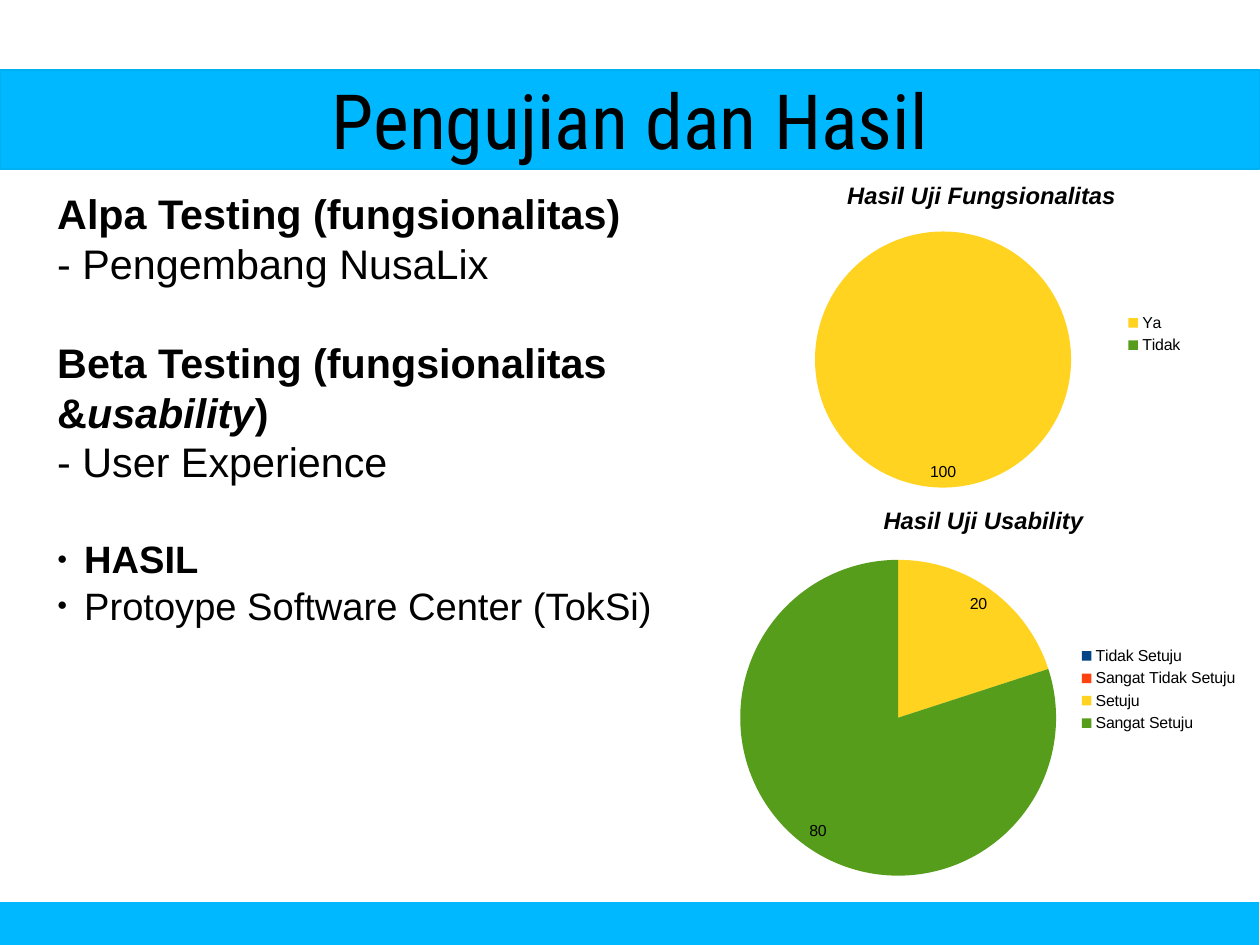
import pptx
import pptx.chart.data
import pptx.dml.color
import pptx.enum.chart
import pptx.enum.shapes
import pptx.enum.text
import pptx.oxml
import pptx.oxml.ns
import pptx.util

PX = 8000  # EMU per px
RGB = pptx.dml.color.RGBColor
BLACK = RGB(0x00, 0x00, 0x00)
WHITE = RGB(0xFF, 0xFF, 0xFF)
CYAN = RGB(0x00, 0xB8, 0xFF)
BAND_EDGE = RGB(0x00, 0xB0, 0xF0)
NAVY = RGB(0x00, 0x45, 0x86)
ORANGE = RGB(0xFF, 0x42, 0x0E)
YELLOW = RGB(0xFF, 0xD3, 0x20)
GREEN = RGB(0x57, 0x9D, 0x1C)


def place(*lengths):
    return [length * PX for length in lengths]


def write(para, text, size, font="Arial", bold=False, italic=False):
    span = para.add_run()
    span.text = text
    span.font.name = font
    span.font.size = pptx.util.Pt(size)
    span.font.bold = bold
    span.font.italic = italic
    span.font.color.rgb = BLACK


deck = pptx.Presentation()
deck.slide_width, deck.slide_height = place(1260, 945)
page = deck.slides.add_slide(deck.slide_layouts[5])

# Title
title = page.shapes.title
title.left, title.top, title.width, title.height = place(63, 38, 1134, 158)
frame = title.text_frame
frame.margin_left = frame.margin_right = frame.margin_bottom = 0
frame.margin_top = 5 * PX
frame.vertical_anchor = pptx.enum.text.MSO_ANCHOR.MIDDLE
frame.paragraphs[0].alignment = pptx.enum.text.PP_ALIGN.CENTER
write(frame.paragraphs[0], "Pengujian dan Hasil", 48, font="Roboto Condensed")

# Bands behind the title and along the bottom
for area, edge in [((0, 70, 1260, 99), BAND_EDGE), ((-4, 901, 1264, 54), WHITE)]:
    band = page.shapes.add_shape(pptx.enum.shapes.MSO_SHAPE.RECTANGLE, *place(*area))
    band.shadow.inherit = False
    band.fill.solid()
    band.fill.fore_color.rgb = CYAN
    band.line.color.rgb = edge
    band.line.width = pptx.util.Pt(0.75)
    title.element.addprevious(band.element)

# Text blocks: area, size, line height, bulleted, paragraphs of (gap before, spans)
BOLD = {"bold": True}
BOLD_ITALIC = {"bold": True, "italic": True}
blocks = [
    ((46, 183, 869, 309), 26, 31.2, False, [
        (0, [("Alpa Testing (fungsionalitas)", BOLD)]),
        (0, [("- Pengembang NusaLix", {})]),
        (31.2, [("Beta Testing (fungsionalitas", BOLD)]),
        (0, [("&", BOLD), ("usability", BOLD_ITALIC), (")", BOLD)]),
        (0, [("- User Experience", {})]),
    ]),
    ((46, 529, 720, 103), 24, 29.3, True, [
        (0, [("HASIL", BOLD)]),
        (0, [("Protoype Software Center (TokSi)", {})]),
    ]),
]
bullet_parts = [
    '<a:buClr {}><a:srgbClr val="000000"/></a:buClr>',
    '<a:buSzPct {} val="45000"/>',
    '<a:buFont {} typeface="Arial"/>',
    '<a:buChar {} char="●"/>',
]
for area, size, line_height, bulleted, lines in blocks:
    box = page.shapes.add_textbox(*place(*area))
    frame = box.text_frame
    frame.word_wrap = True
    frame.auto_size = pptx.enum.text.MSO_AUTO_SIZE.SHAPE_TO_FIT_TEXT
    for number, (gap, spans) in enumerate(lines):
        para = frame.add_paragraph() if number else frame.paragraphs[0]
        para.line_spacing = pptx.util.Pt(line_height)
        para.space_before = pptx.util.Pt(gap)
        for text, style in spans:
            write(para, text, size, **style)
        if bulleted:
            props = para._p.get_or_add_pPr()
            props.set("marL", str(27 * PX))
            props.set("indent", str(-27 * PX))
            for part in bullet_parts:
                props.append(pptx.oxml.parse_xml(part.format(pptx.oxml.ns.nsdecls("a"))))

# Pie charts: title, area, plot layout as fractions, slices
pies = [
    ("Hasil Uji Fungsionalitas", (768, 163, 427, 342),
     {"x": 0.11, "y": 0.2, "w": 0.6, "h": 0.75},
     [("Ya", 100, YELLOW), ("Tidak", 0, GREEN)]),
    ("Hasil Uji Usability", (717, 487, 533, 405),
     {"x": 0.04, "y": 0.18, "w": 0.6, "h": 0.78},
     [("Tidak Setuju", None, NAVY), ("Sangat Tidak Setuju", None, ORANGE),
      ("Setuju", 20, YELLOW), ("Sangat Setuju", 80, GREEN)]),
]
for heading, area, layout, slices in pies:
    names, values, colours = zip(*slices)
    data = pptx.chart.data.CategoryChartData()
    data.categories = names
    data.add_series("Series 1", values)
    chart = page.shapes.add_chart(
        pptx.enum.chart.XL_CHART_TYPE.PIE, *place(*area), data).chart
    chart.font.name = "Arial"
    chart.font.size = pptx.util.Pt(10)
    chart.font.color.rgb = BLACK
    chart.has_title = True
    write(chart.chart_title.text_frame.paragraphs[0], heading, 15, **BOLD_ITALIC)
    chart.has_legend = True
    chart.legend.position = pptx.enum.chart.XL_LEGEND_POSITION.RIGHT
    chart.legend.include_in_layout = False

    plot = chart.plots[0]
    plot.vary_by_categories = True
    for number, colour in enumerate(colours):
        fill = plot.series[0].points[number].format.fill
        fill.solid()
        fill.fore_color.rgb = colour
    plot.has_data_labels = True
    labels = plot.data_labels
    labels.show_value = True
    labels.show_percentage = False
    labels.number_format = "#"  # leaves zero unlabelled
    labels.number_format_is_linked = False
    labels.position = pptx.enum.chart.XL_LABEL_POSITION.INSIDE_END

    # Fixed plot position
    plot_area = chart.element.chart.plotArea
    for old in plot_area.findall(pptx.oxml.ns.qn("c:layout")):
        plot_area.remove(old)
    modes = '<c:xMode val="edge"/><c:yMode val="edge"/>'
    sizes = "".join(f'<c:{key} val="{value}"/>' for key, value in layout.items())
    plot_area.insert(0, pptx.oxml.parse_xml(
        f'<c:layout {pptx.oxml.ns.nsdecls("c")}><c:manualLayout>'
        f'<c:layoutTarget val="inner"/>{modes}{sizes}</c:manualLayout></c:layout>'))

deck.save("out.pptx")
